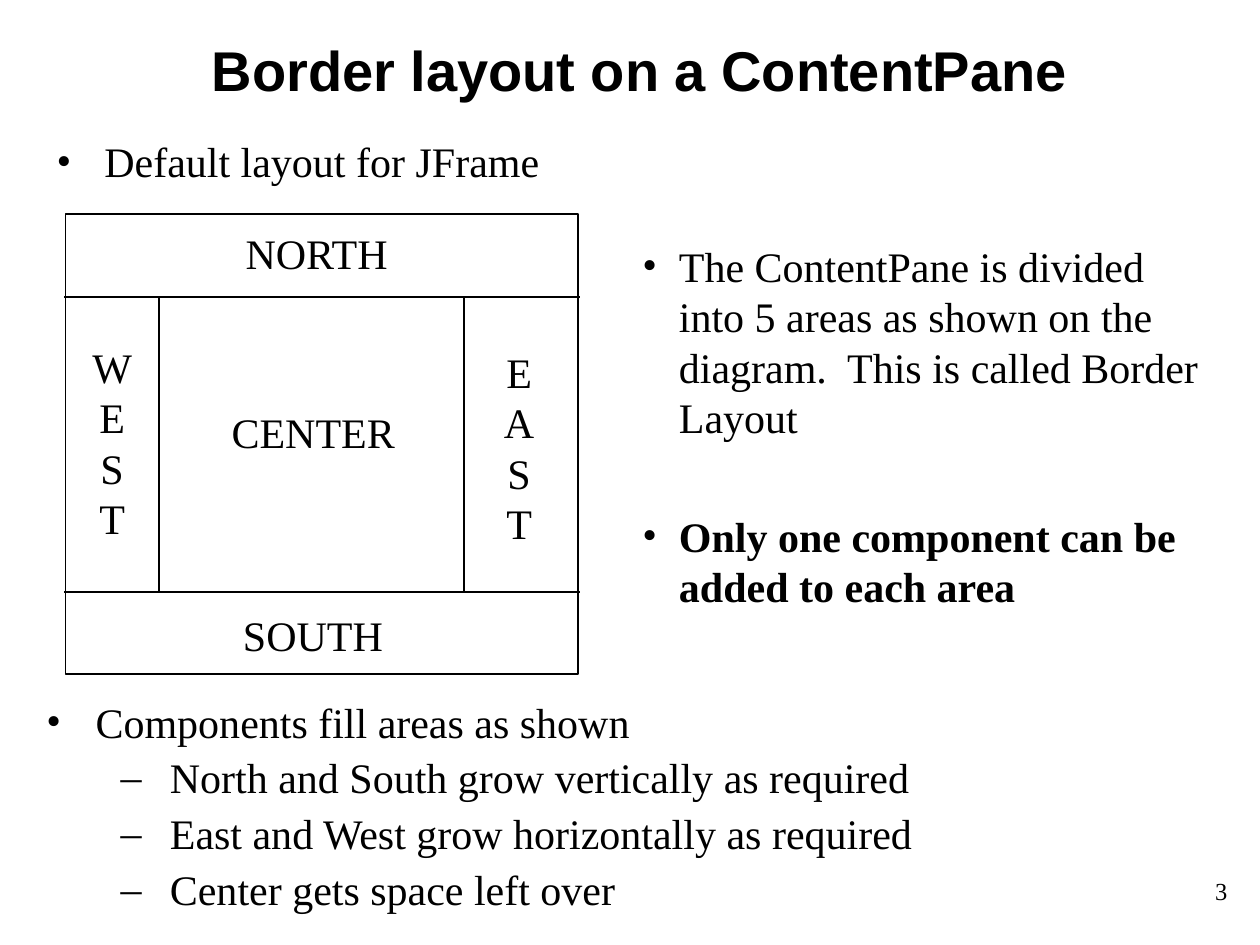
from dataclasses import dataclass

from lxml import etree
from pptx import Presentation
from pptx.dml.color import RGBColor
from pptx.enum.shapes import MSO_CONNECTOR, MSO_SHAPE
from pptx.enum.text import MSO_ANCHOR, PP_ALIGN
from pptx.oxml.ns import qn
from pptx.util import Inches, Pt

LEFT, CENTER, RIGHT = PP_ALIGN.LEFT, PP_ALIGN.CENTER, PP_ALIGN.RIGHT
TOP, MIDDLE = MSO_ANCHOR.TOP, MSO_ANCHOR.MIDDLE
STRAIGHT = MSO_CONNECTOR.STRAIGHT
RECTANGLE = MSO_SHAPE.RECTANGLE


@dataclass(frozen=True)
class Theme:
    ink: RGBColor = RGBColor(0, 0, 0)
    paper: RGBColor = RGBColor(255, 255, 255)
    heading_font: str = "Arial"
    body_font: str = "Times New Roman"
    heading: int = 32
    body: int = 24
    number: int = 14
    line: int = 1


theme = Theme()


def add_text(box, lines, align=LEFT, anchor=TOP, wrap=True,
             font=theme.body_font, size=theme.body, bold=False):
    """Add a text box with one paragraph a line; return its paragraphs."""
    frame = slide.shapes.add_textbox(*map(Inches, box)).text_frame
    frame.word_wrap = wrap
    frame.vertical_anchor = anchor
    for index, line in enumerate(lines):
        paragraph = frame.paragraphs[0] if index == 0 else frame.add_paragraph()
        paragraph.alignment = align
        run = paragraph.add_run()
        run.text = line
        run.font.name = font
        run.font.size = Pt(size)
        run.font.bold = bold
        run.font.color.rgb = theme.ink
    return frame.paragraphs


def add_bullet(paragraph, mark, margin, hang):
    """Give a paragraph a bullet mark and a hanging indent in inches."""
    properties = paragraph._p.get_or_add_pPr()
    properties.set("marL", str(Inches(margin)))
    properties.set("indent", str(-Inches(hang)))
    etree.SubElement(properties, qn("a:buFont"), typeface=theme.body_font)
    etree.SubElement(properties, qn("a:buChar"), char=mark)


presentation = Presentation()
presentation.slide_width = Inches(10)
presentation.slide_height = Inches(7.5)
slide = presentation.slides.add_slide(presentation.slide_layouts[6])
slide.background.fill.solid()
slide.background.fill.fore_color.rgb = theme.paper

# Slide number and title
add_text((7.76, 6.82, 2.08, 0.5), ["3"], RIGHT, MIDDLE, size=theme.number)
add_text((0.83, 0.21, 8.5, 0.67), ["Border layout on a ContentPane"], CENTER, MIDDLE,
         font=theme.heading_font, size=theme.heading, bold=True)

# Frame of the border layout
pane = slide.shapes.add_shape(RECTANGLE, *map(Inches, (0.52, 1.7, 4.07, 3.65)))
pane.shadow.inherit = False
pane.fill.background()
pane.line.color.rgb = theme.ink
pane.line.width = Pt(theme.line)

# Dividers between the five areas
pane_left, pane_right = 0.51, 4.6
north_edge, south_edge = 2.36, 4.7
west_edge, east_edge = 1.26, 3.68
dividers = [(pane_left, y, pane_right, y) for y in (north_edge, south_edge)]
dividers += [(x, north_edge, x, south_edge) for x in (west_edge, east_edge)]
for ends in dividers:
    divider = slide.shapes.add_connector(STRAIGHT, *map(Inches, ends))
    divider.line.color.rgb = theme.ink
    divider.line.width = Pt(theme.line)
    etree.SubElement(divider._element.spPr, qn("a:effectLst"))

# Area names; the side areas read downwards, a letter a line
for name, box in (
    ("NORTH", (1.85, 1.76, 1.35, 0.5)),
    ("SOUTH", (1.83, 4.79, 1.31, 0.5)),
    ("CENTER", (1.74, 3.18, 1.5, 0.5)),
):
    add_text(box, [name], wrap=False)
for name, box in (("WEST", (0.63, 2.66, 0.52, 1.7)), ("EAST", (3.9, 2.7, 0.44, 1.7))):
    add_text(box, name, CENTER, wrap=False)

# Explanation beside the diagram
explanation = add_text((5, 1.86, 4.71, 3.43), [
    "The ContentPane is divided into 5 areas as shown on the diagram.  "
    "This is called Border Layout",
    "Only one component can be added to each area",
])
for point in explanation:
    add_bullet(point, "•", 0.29, 0.29)
explanation[1].space_before = Pt(39)
explanation[1].runs[0].font.bold = True

# Default layout, above the diagram
default_layout = add_text((0.35, 1.07, 4.41, 0.63), ["Default layout for JFrame"])[0]
default_layout.line_spacing = 0.9
add_bullet(default_layout, "•", 0.38, 0.38)

# How the areas fill, below the diagram
filling, *growth_rules = add_text((0.27, 5.52, 8.82, 1.79), [
    "Components fill areas as shown",
    "North and South grow vertically as required",
    "East and West grow horizontally as required",
    "Center gets space left over",
])
filling.line_spacing = 0.9
add_bullet(filling, "•", 0.39, 0.39)
for rule in growth_rules:
    rule.level = 1
    rule.line_spacing = 0.9
    rule.space_before = Pt(6)
    add_bullet(rule, "–", 0.98, 0.39)

presentation.save("out.pptx")
